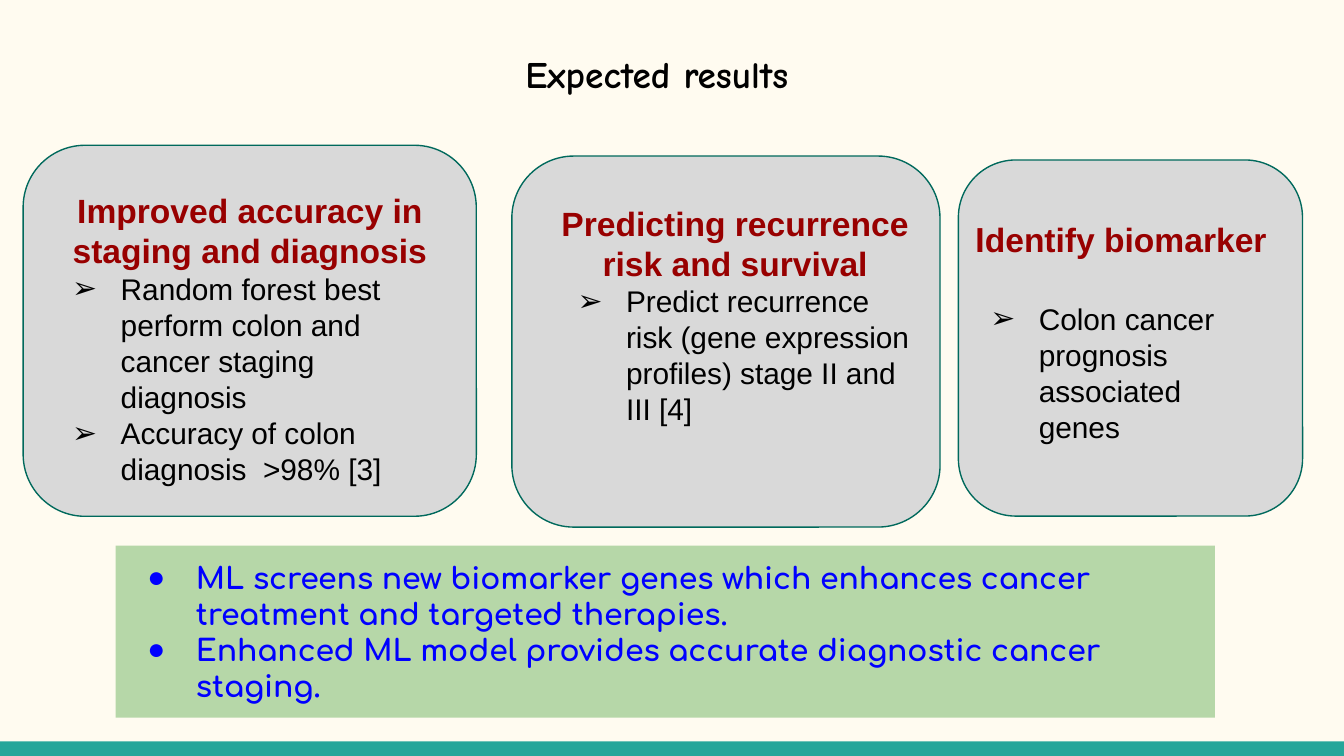
import pptx
import pptx.util
import pptx.dml.color
import pptx.enum.shapes
import pptx.enum.text
import pptx.oxml.ns
import lxml.etree

Pt = pptx.util.Pt
Kind = pptx.enum.shapes.MSO_SHAPE
Align = pptx.enum.text.PP_ALIGN

HEX = {
    "page": "FFFBF0", "bar": "26A69A", "card": "D9D9D9", "edge": "00695C",
    "head": "980000", "text": "000000", "note": "B6D7A8", "blue": "0000FF",
}
TITLE = {"size": Pt(20), "name": "Comic Neue", "bold": True}
HEAD = {"size": Pt(18), "name": "Arial", "bold": True}
ITEM = {"size": Pt(16), "name": "Arial", "bold": False}
NOTE = {"size": Pt(16), "name": "Comfortaa", "bold": True}

CARDS = [
    {"box": (12.4, 77.8, 242.8, 198.8), "area": (21.6, 95, 224.6, 174.2), "gap": 0,
     "head": [("Improved accuracy in staging and diagnosis", "Arial")],
     "items": ["Random forest best perform colon and cancer staging diagnosis",
               "Accuracy of colon diagnosis  >98% [3]"]},
    {"box": (274.2, 83.6, 229.4, 198.8), "area": (292.3, 101.5, 203, 136), "gap": 0,
     "head": [("Predicting recurrence risk and survival", "Arial")],
     "items": ["Predict recurrence risk (gene expression profiles) stage II and III [4]"]},
    {"box": (513.4, 85.7, 184.4, 190.8), "area": (513.4, 110.2, 174.2, 136), "gap": 22,
     "head": [("I", "Roboto"), ("dentify biomarker", "Arial")],
     "items": ["Colon cancer prognosis  associated genes"]},
]
NOTES = [
    "ML screens new biomarker genes which enhances cancer treatment and targeted therapies.",
    "Enhanced ML model provides accurate diagnostic cancer staging.",
]


def rgb(key):
    return pptx.dml.color.RGBColor.from_string(HEX[key])


def put(obj, values):
    for key, value in values.items():
        setattr(obj, key, value)


def add_box(slide, kind, box, fill, edge=None):
    shape = slide.shapes.add_shape(kind, *map(Pt, box))
    shape.shadow.inherit = False
    shape.fill.solid()
    shape.fill.fore_color.rgb = rgb(fill)
    if edge:
        shape.line.color.rgb = rgb(edge)
        shape.line.width = Pt(0.75)
    else:
        shape.line.fill.background()
    return shape


def add_area(slide, box):
    return slide.shapes.add_textbox(*map(Pt, box))


def set_frame(shape):
    frame = shape.text_frame
    put(frame, {
        "word_wrap": True,
        "vertical_anchor": pptx.enum.text.MSO_ANCHOR.TOP,
        "margin_left": Pt(7.2), "margin_right": Pt(7.2),
        "margin_top": Pt(7.2), "margin_bottom": Pt(7.2),
    })
    return frame


def add_line(frame, first, align, space):
    para = frame.paragraphs[0] if first else frame.add_paragraph()
    put(para, {"alignment": align, "line_spacing": space})
    return para


def add_run(para, text, style, color):
    run = para.add_run()
    run.text = text
    put(run.font, style)
    run.font.color.rgb = rgb(color)


def set_bullet(para, mark, color):
    props = para._p.get_or_add_pPr()
    props.set("marL", str(Pt(36)))
    props.set("indent", str(-Pt(26)))
    qn = pptx.oxml.ns.qn
    tint = lxml.etree.SubElement(props, qn("a:buClr"))
    lxml.etree.SubElement(tint, qn("a:srgbClr"), val=HEX[color])
    lxml.etree.SubElement(props, qn("a:buFont"), typeface="Arial")
    lxml.etree.SubElement(props, qn("a:buChar"), char=mark)


def add_list(frame, items, mark, style, color, first=False, gap=0):
    for index, text in enumerate(items):
        para = add_line(frame, first and index == 0, Align.LEFT, Pt(19.3))
        if gap and index == 0:
            para.space_before = Pt(gap)
        set_bullet(para, mark, color)
        add_run(para, text, style, color)


def add_title(slide):
    frame = set_frame(add_area(slide, (274.3, 16.6, 190, 30.2)))
    para = add_line(frame, True, Align.LEFT, 1.15)
    add_run(para, "Expected results", TITLE, "text")


def add_card(slide, card):
    shape = add_box(slide, Kind.ROUNDED_RECTANGLE, card["box"], "card", "edge")
    shape.adjustments[0] = 0.167
    frame = set_frame(add_area(slide, card["area"]))
    para = add_line(frame, True, Align.CENTER, Pt(21.4))
    for text, face in card["head"]:
        add_run(para, text, {**HEAD, "name": face}, "head")
    add_list(frame, card["items"], "➢", ITEM, "text", gap=card["gap"])


def add_note(slide):
    shape = add_box(slide, Kind.RECTANGLE, (61.9, 292.3, 589, 92.2), "note")
    add_list(set_frame(shape), NOTES, "●", NOTE, "blue", first=True)


def main():
    deck = pptx.Presentation()
    put(deck, {"slide_width": Pt(720), "slide_height": Pt(405)})
    slide = deck.slides.add_slide(deck.slide_layouts[6])
    slide.background.fill.solid()
    slide.background.fill.fore_color.rgb = rgb("page")
    add_box(slide, Kind.RECTANGLE, (0, 397.2, 720, 7.8), "bar")
    add_title(slide)
    for card in CARDS:
        add_card(slide, card)
    add_note(slide)
    deck.save("out.pptx")


if __name__ == "__main__":
    main()
